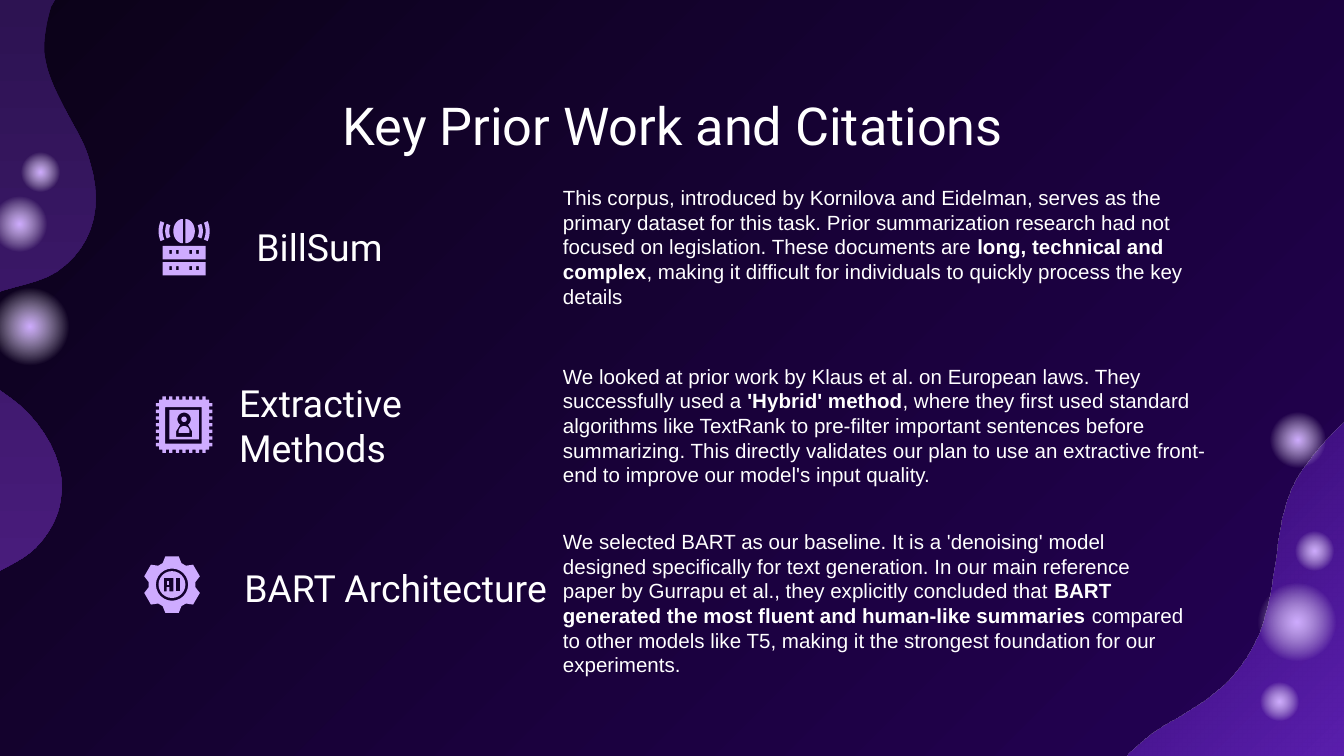
"""Build the slide on key prior work and citations."""
from math import cos, radians, sin

from lxml.etree import SubElement
from pptx import Presentation
from pptx.dml.color import RGBColor as RGB
from pptx.enum.shapes import MSO_SHAPE as Shape
from pptx.enum.text import MSO_ANCHOR as Anchor, MSO_AUTO_SIZE as Fit, PP_ALIGN as Align
from pptx.oxml.ns import qn
from pptx.util import Inches, Pt

WHITE = RGB(0xFF, 0xFF, 0xFF)
LILAC = RGB(0xCE, 0xAB, 0xFF)
NIGHT = RGB(0x0B, 0x02, 0x18)
INDIGO = RGB(0x24, 0x01, 0x55)
VIOLET = RGB(0x81, 0x34, 0xEC)
PLUM = RGB(0x2A, 0x12, 0x4E)
GRAPE = RGB(0x5B, 0x22, 0x98)

LEFT_WAVE = [
    (0.35, 0.15, 0.32, 0.29, 0.33, 0.4), (0.35, 0.57, 0.44, 0.73, 0.52, 0.88),
    (0.58, 0.99, 0.64, 1.09, 0.67, 1.21), (0.76, 1.5, 0.71, 1.78, 0.49, 1.97),
    (0.28, 2.17, -0.06, 2.09, -0.26, 2.34), (-0.48, 2.62, -0.1, 2.83, 0.09, 2.97),
    (0.31, 3.13, 0.51, 3.45, 0.45, 3.73), (0.43, 3.87, 0.34, 4.01, 0.24, 4.1),
    (0.12, 4.2, -0.02, 4.24, -0.13, 4.33), (-0.24, 4.41, -0.36, 4.55, -0.37, 4.7),
    (-0.39, 4.85, -0.34, 5.01, -0.32, 5.16), (-0.22, 5.78, -0.39, 6.46, -0.85, 6.86),
    (-0.91, 6.91, -1, 6.98, -1.07, 7),
]
LEFT_END = [(-3.04, 0.63), (0.64, -0.4)]
RIGHT_WAVE = [
    (10.4, 6.37, 10.39, 5.99, 10.41, 5.62), (10.44, 5.23, 10.49, 4.85, 10.49, 4.45),
    (10.49, 4.17, 10.47, 3.89, 10.47, 3.61), (10.47, 3.47, 10.53, 3.06, 10.37, 2.98),
    (10.18, 2.89, 9.82, 3.32, 9.73, 3.44), (9.55, 3.67, 9.53, 3.9, 9.49, 4.17),
    (9.45, 4.46, 9.41, 4.72, 9.23, 4.96), (9.08, 5.16, 8.86, 5.28, 8.64, 5.41),
    (8.43, 5.54, 8.26, 5.74, 8.14, 5.97), (8.04, 6.17, 7.92, 6.45, 7.91, 6.67),
    (8.06, 6.7, 8.22, 6.68, 8.37, 6.68), (8.53, 6.69, 8.68, 6.74, 8.83, 6.74),
]
BUBBLES = [
    (9.29, 4.27, 0.72), (9.6, 3.92, 0.36), (9.34, 5.04, 0.36), (9.4, 3.02, 0.51),
    (-0.11, 1.41, 0.51), (-0.14, 2.07, 0.72), (0.12, 1.1, 0.36),
]
TOPICS = [
    ("BillSum", (1.81, 1.49, 2.32), (4.09, 1.49, 5.05), [
        "This corpus, introduced by Kornilova and Eidelman, serves as the primary dataset for this task. "
        "Prior summarization research had not focused on legislation. These documents are ",
        "long, technical and complex",
        ", making it difficult for individuals to quickly process the key details"]),
    ("Extractive Methods", (1.68, 2.82, 2.32), (4.09, 2.82, 5.05), [
        "We looked at prior work by Klaus et al. on European laws. They successfully used a ",
        "'Hybrid' method",
        ", where they first used standard algorithms like TextRank to pre-filter important sentences before "
        "summarizing. This directly validates our plan to use an extractive front-end to improve our "
        "model's input quality."]),
    ("BART Architecture", (1.72, 4.03, 3.06), (4.09, 4.14, 4.83), [
        "We selected BART as our baseline. It is a 'denoising' model designed specifically for text "
        "generation. In our main reference paper by Gurrapu et al., they explicitly concluded that ",
        "BART generated the most fluent and human-like summaries",
        " compared to other models like T5, making it the strongest foundation for our experiments."]),
]


def curve(start, rows, steps=10):
    """Return points along a chain of cubic curves."""
    points = [start]
    for ax, ay, bx, by, ex, ey in rows:
        sx, sy = points[-1]
        for n in range(1, steps + 1):
            t = n / steps
            u = 1 - t
            mix = (u ** 3, 3 * u * u * t, 3 * u * t * t, t ** 3)
            points.append((sum(m * x for m, x in zip(mix, (sx, ax, bx, ex))),
                           sum(m * y for m, y in zip(mix, (sy, ay, by, ey)))))
    return points


def arc(x, y, wide, high, first=0, last=360, steps=24):
    """Return points on an elliptic arc, with angles in degrees."""
    turns = [radians(first + (last - first) * n / steps) for n in range(steps + 1)]
    return [(x + wide * cos(a), y + high * sin(a)) for a in turns]


def box(x, y, wide, high):
    """Return the corners of a rectangle."""
    return [(x, y), (x + wide, y), (x + wide, y + high), (x, y + high)]


def band(x, y, outer, inner, mid, half):
    """Return a slice of a ring around the angle mid."""
    return (arc(x, y, outer, outer, mid - half, mid + half)
            + arc(x, y, inner, inner, mid + half, mid - half))


def draw(shapes, *rings):
    """Draw closed outlines as one lilac shape, with inner rings as holes."""
    rings = [[(Inches(x), Inches(y)) for x, y in ring] for ring in rings]
    pen = shapes.build_freeform(*rings[0][0], scale=1.0)
    pen.add_line_segments(rings[0][1:], close=True)
    for ring in rings[1:]:
        pen.move_to(*ring[0])
        pen.add_line_segments(ring[1:], close=True)
    shape = pen.convert_to_shape()
    shape.shadow.inherit = False
    shape.line.fill.background()
    shape.fill.solid()
    shape.fill.fore_color.rgb = LILAC
    return shape


def blend(fill, hues, turn):
    """Fill with a linear blend of two hues."""
    fill.gradient()
    fill.gradient_angle = turn
    for stop, hue in zip(fill.gradient_stops, hues):
        stop.color.rgb = hue


def fade(shape, index, share):
    """Set the opacity of one stop, in percent."""
    tone = list(shape._element.spPr.iter(qn("a:srgbClr")))[index]
    SubElement(tone, qn("a:alpha"), val=str(share * 1000))


def bubble(shapes, x, y, size):
    """Add a round glow that fades outward."""
    shape = shapes.add_shape(Shape.OVAL, *map(Inches, (x, y, size, size)))
    shape.shadow.inherit = False
    shape.line.fill.background()
    blend(shape.fill, (LILAC, WHITE), 0)
    shape.fill.gradient_stops[1].position = 0.57
    fade(shape, 1, 0)
    grad = shape._element.spPr.find(qn("a:gradFill"))
    grad.remove(grad.find(qn("a:lin")))
    ring = SubElement(grad, qn("a:path"), path="circle")
    SubElement(ring, qn("a:fillToRect"), {side: "50000" for side in "ltrb"})


def server(shapes):
    """Draw the server with its globe and signals."""
    x, y = 1.37, 1.72
    for side, mid in ((-0.01, 180), (0.01, 0)):
        draw(shapes, arc(x + side, y, 0.07, 0.09, mid - 90, mid + 90))
        for outer, inner in ((0.14, 0.11), (0.19, 0.16)):
            draw(shapes, band(x, y, outer, inner, mid, 23))
    for top in (1.83, 1.95):
        lamps = [box(left, top + 0.03, 0.02, 0.03) for left in (1.26, 1.31, 1.41, 1.46)]
        draw(shapes, box(1.21, top, 0.32, 0.1), *lamps)


def chip(shapes):
    """Draw the chip with a person at its core."""
    unit = 0.42 / 17
    side = [(1, 1)]
    for n in range(2, 15, 2):
        side += [(n, 1), (n, 0), (n + 1, 0), (n + 1, 1)]
    edge = []
    for _ in range(4):
        edge += side
        side = [(17 - y, x) for x, y in side]
    draw(shapes, [(1.16 + x * unit, 2.95 + y * unit) for x, y in edge], box(1.23, 3.03, 0.27, 0.27))
    bust = ([(1.31, 3.25), (1.31, 3.21)] + arc(1.37, 3.12, 0.05, 0.05, 127, 413)
            + [(1.43, 3.21), (1.43, 3.25)])
    draw(shapes, box(1.26, 3.05, 0.22, 0.22), bust)
    draw(shapes, arc(1.37, 3.12, 0.02, 0.02))
    draw(shapes, arc(1.37, 3.21, 0.04, 0.04, 180, 360) + [(1.41, 3.22), (1.33, 3.22)])


def gear(shapes):
    """Draw the gear with the letters AI."""
    x, y = 1.28, 4.35
    tooth = [(-0.07, -0.16), (-0.05, -0.21), (0.05, -0.21), (0.07, -0.16)]
    edge = []
    for n in range(6):
        c, s = cos(radians(60 * n)), sin(radians(60 * n))
        edge += [(x + a * c - b * s, y + a * s + b * c) for a, b in tooth]
    draw(shapes, edge, arc(x, y, 0.12, 0.12))
    letter = [(1.29, 4.4), (1.26, 4.4), (1.26, 4.37), (1.24, 4.37),
              (1.24, 4.4), (1.22, 4.4), (1.22, 4.3), (1.29, 4.3)]
    draw(shapes, arc(x, y, 0.1, 0.1), letter, box(1.31, 4.3, 0.03, 0.1))
    draw(shapes, box(1.24, 4.32, 0.02, 0.03))


def write(frame, runs, font, size, anchor=Anchor.MIDDLE, align=Align.LEFT):
    """Write runs into a frame, with every second one bold."""
    frame.word_wrap = True
    frame.auto_size = Fit.NONE
    frame.vertical_anchor = anchor
    frame.margin_left = frame.margin_right = frame.margin_top = frame.margin_bottom = Inches(0.1)
    para = frame.paragraphs[0]
    para.alignment = align
    para.line_spacing = 1.0
    for n, text in enumerate(runs):
        run = para.add_run()
        run.text = text
        run.font.name = font
        run.font.size = Pt(size)
        run.font.bold = n % 2 == 1
        run.font.color.rgb = WHITE


def label(shapes, spot, runs, font, size):
    """Add a text box at left, top and width."""
    area = shapes.add_textbox(*map(Inches, (*spot, 0.69)))
    write(area.text_frame, runs, font, size)


def main():
    """Build and save the slide."""
    deck = Presentation()
    deck.slide_width, deck.slide_height = Inches(10), Inches(10 * 9 / 16)
    slide = deck.slides.add_slide(deck.slide_layouts[5])
    shapes = slide.shapes
    blend(slide.background.fill, (NIGHT, INDIGO), 315)
    left = draw(shapes, curve((0.38, 0.05), LEFT_WAVE) + LEFT_END)
    blend(left.fill, (PLUM, GRAPE), 270)
    right = draw(shapes, curve((10.4, 6.74), RIGHT_WAVE))
    blend(right.fill, (VIOLET, INDIGO), 135)
    fade(right, 0, 70)
    for spot in BUBBLES:
        bubble(shapes, *spot)
    title = shapes.title
    title.left, title.top, title.width, title.height = map(Inches, (0.79, 0.59, 8.43, 0.63))
    write(title.text_frame, ["Key Prior Work and Citations"], "Roboto", 28, Anchor.TOP, Align.CENTER)
    for _, _, body, runs in TOPICS:
        label(shapes, body, runs, "Arial", 11)
    for name, head, _, _ in TOPICS:
        label(shapes, head, [name], "Roboto", 20)
    for icon in (server, chip, gear):
        icon(shapes.add_group_shape().shapes)
    deck.save("out.pptx")


if __name__ == "__main__":
    main()
